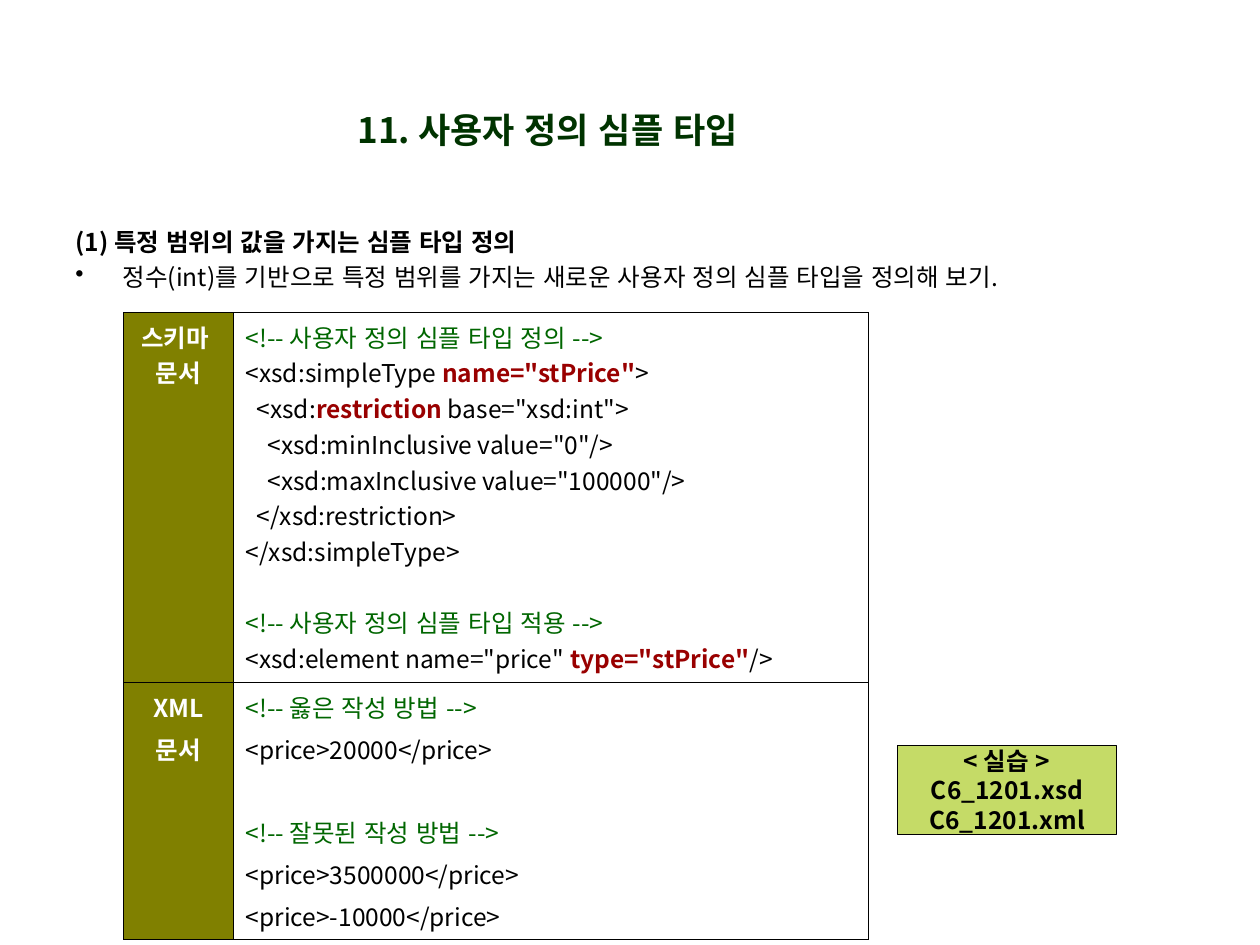
from dataclasses import dataclass

from lxml import etree
from pptx import Presentation
from pptx.dml.color import RGBColor
from pptx.enum.lang import MSO_LANGUAGE_ID
from pptx.enum.shapes import MSO_SHAPE
from pptx.enum.text import MSO_ANCHOR, MSO_AUTO_SIZE, PP_ALIGN
from pptx.oxml.ns import qn
from pptx.util import Pt

CENTER, LEFT = PP_ALIGN.CENTER, PP_ALIGN.LEFT
MIDDLE, TOP = MSO_ANCHOR.MIDDLE, MSO_ANCHOR.TOP
NO_AUTOFIT = MSO_AUTO_SIZE.NONE
RECTANGLE = MSO_SHAPE.RECTANGLE
KOREAN = MSO_LANGUAGE_ID.KOREAN
TITLE_ONLY = 5


@dataclass(frozen=True)
class Theme:
    font: str = "Noto Sans CJK KR"
    title_size: float = 20
    text_size: float = 14
    title: str = "003300"
    ink: str = "000000"
    comment: str = "006600"
    keyword: str = "990000"
    label: str = "FFFFFF"
    label_fill: str = "808000"
    practice_fill: str = "C5DB67"
    table_line: float = 0.45
    box_line: float = 0.75
    paragraph_gap: float = 3.5
    code_line: float = 20.3


THEME = Theme()

PLAIN = (THEME.ink, False)
STRONG = (THEME.ink, True)
COMMENT = (THEME.comment, False)
KEYWORD = (THEME.keyword, True)
LABEL = (THEME.label, True)

HEADING = "(1) 특정 범위의 값을 가지는 심플 타입 정의"
EXPLANATION = "정수(int)를 기반으로 특정 범위를 가지는 새로운 사용자 정의 심플 타입을 정의해 보기."
PRACTICE_LINES = ["< 실습 >", "C6_1201.xsd", "C6_1201.xml"]

SCHEMA_BLOCKS = [
    [
        [("<!-- 사용자 정의 심플 타입 정의 -->", COMMENT)],
        [("<xsd:simpleType ", PLAIN), ('name="stPrice"', KEYWORD), (">", PLAIN)],
        [("  <xsd:", PLAIN), ("restriction", KEYWORD), (' base="xsd:int">', PLAIN)],
        [('    <xsd:minInclusive value="0"/>', PLAIN)],
        [('    <xsd:maxInclusive value="100000"/>', PLAIN)],
        [("  </xsd:restriction>", PLAIN)],
        [("</xsd:simpleType>", PLAIN)],
    ],
    [
        [("<!-- 사용자 정의 심플 타입 적용 -->", COMMENT)],
        [('<xsd:element name="price" ', PLAIN), ('type="stPrice"', KEYWORD), ("/>", PLAIN)],
    ],
]
XML_BLOCKS = [
    [
        [("<!-- 옳은 작성 방법 -->", COMMENT)],
        [("<price>20000</price>", PLAIN)],
    ],
    [
        [("<!-- 잘못된 작성 방법 -->", COMMENT)],
        [("<price>3500000</price>", PLAIN)],
        [("<price>-10000</price>", PLAIN)],
    ],
]
TABLE_ROWS = [
    (["스키마 ", "문서"], SCHEMA_BLOCKS, 0),
    (["XML", "문서"], XML_BLOCKS, THEME.paragraph_gap),
]


def color(value):
    return RGBColor.from_string(value)


def format_run(run, style, size=THEME.text_size):
    run_color, bold = style
    run.font.size = Pt(size)
    run.font.bold = bold
    run.font.color.rgb = color(run_color)
    run.font.name = THEME.font
    run.font.language_id = KOREAN
    properties = run.font._element
    properties.set("kern", "0")
    east_asian = etree.Element(qn("a:ea"), typeface=THEME.font)
    properties.find(qn("a:latin")).addnext(east_asian)


def write_lines(text_frame, lines, align=LEFT, gap=0):
    text_frame.text = "\n".join("" for _ in lines)
    for index, (paragraph, runs) in enumerate(zip(text_frame.paragraphs, lines)):
        paragraph.alignment = align
        if index:
            paragraph.space_before = Pt(gap)
        for text, style in runs:
            run = paragraph.add_run()
            run.text = text
            format_run(run, style)


def add_title(slide, left, top, width, height):
    title = slide.shapes.title
    title.left, title.top, title.width, title.height = map(Pt, (left, top, width, height))
    text_frame = title.text_frame
    text_frame.text = "11. 사용자 정의 심플 타입"
    text_frame.auto_size = NO_AUTOFIT
    text_frame.vertical_anchor = MIDDLE
    paragraph = text_frame.paragraphs[0]
    paragraph.alignment = CENTER
    format_run(paragraph.runs[0], (THEME.title, True), THEME.title_size)


def add_introduction(slide, left, top, width, height):
    box = slide.shapes.add_textbox(Pt(left), Pt(top), Pt(width), Pt(height))
    text_frame = box.text_frame
    text_frame.word_wrap = True
    write_lines(text_frame, [[(HEADING, STRONG)], [(EXPLANATION, PLAIN)]],
                gap=THEME.paragraph_gap)
    for paragraph in text_frame.paragraphs:
        properties = paragraph._p.get_or_add_pPr()
        properties.set("marL", str(Pt(27)))
        properties.set("indent", str(Pt(-27)))
    bullet_color = etree.SubElement(properties, qn("a:buClr"))
    etree.SubElement(bullet_color, qn("a:srgbClr"), val=THEME.ink)
    etree.SubElement(properties, qn("a:buChar"), char="•")


def outline_cell(cell):
    properties = cell._tc.get_or_add_tcPr()
    for side in ("a:lnL", "a:lnR", "a:lnT", "a:lnB"):
        line = etree.SubElement(properties, qn(side), w=str(Pt(THEME.table_line)))
        fill = etree.SubElement(line, qn("a:solidFill"))
        etree.SubElement(fill, qn("a:srgbClr"), val=THEME.ink)


def write_code(text_frame, blocks, gap):
    write_lines(text_frame, [line for block in blocks for line in block], gap=gap)
    block_start = 0
    for block in blocks[:-1]:
        block_start += len(block)
        text_frame.paragraphs[block_start].space_before = Pt(THEME.code_line + 2 * gap)


def add_code_table(slide, left, top, column_widths, row_heights):
    frame = slide.shapes.add_table(
        len(row_heights), len(column_widths), Pt(left), Pt(top),
        Pt(sum(column_widths)), Pt(sum(row_heights)))
    table = frame.table
    table.first_row = table.horz_banding = False
    for column, width in zip(table.columns, column_widths):
        column.width = Pt(width)
    for row, height, (labels, blocks, gap) in zip(table.rows, row_heights, TABLE_ROWS):
        row.height = Pt(height)
        label_cell, code_cell = row.cells
        for cell in (label_cell, code_cell):
            outline_cell(cell)
            cell.vertical_anchor = TOP
        label_cell.fill.solid()
        label_cell.fill.fore_color.rgb = color(THEME.label_fill)
        code_cell.fill.background()
        write_lines(label_cell.text_frame, [[(label, LABEL)] for label in labels],
                    align=CENTER, gap=gap)
        write_code(code_cell.text_frame, blocks, gap)


def add_practice_box(slide, left, top, width, height):
    box = slide.shapes.add_shape(RECTANGLE, Pt(left), Pt(top), Pt(width), Pt(height))
    box.shadow.inherit = False
    box.fill.solid()
    box.fill.fore_color.rgb = color(THEME.practice_fill)
    box.line.color.rgb = color(THEME.ink)
    box.line.width = Pt(THEME.box_line)
    box.text_frame.word_wrap = False
    box.text_frame.vertical_anchor = MIDDLE
    write_lines(box.text_frame, [[(line, STRONG)] for line in PRACTICE_LINES],
                align=CENTER)


def main():
    presentation = Presentation()
    presentation.slide_width, presentation.slide_height = Pt(720), Pt(540)
    slide = presentation.slides.add_slide(presentation.slide_layouts[TITLE_ONLY])
    add_introduction(slide, 36, 126, 647, 47.5)
    add_title(slide, 106, 54.5, 414, 39.5)
    add_code_table(slide, 70.7, 178.5, [62.5, 363], [211.5, 147])
    add_practice_box(slide, 513, 426, 125, 51)
    presentation.save("out.pptx")


if __name__ == "__main__":
    main()
